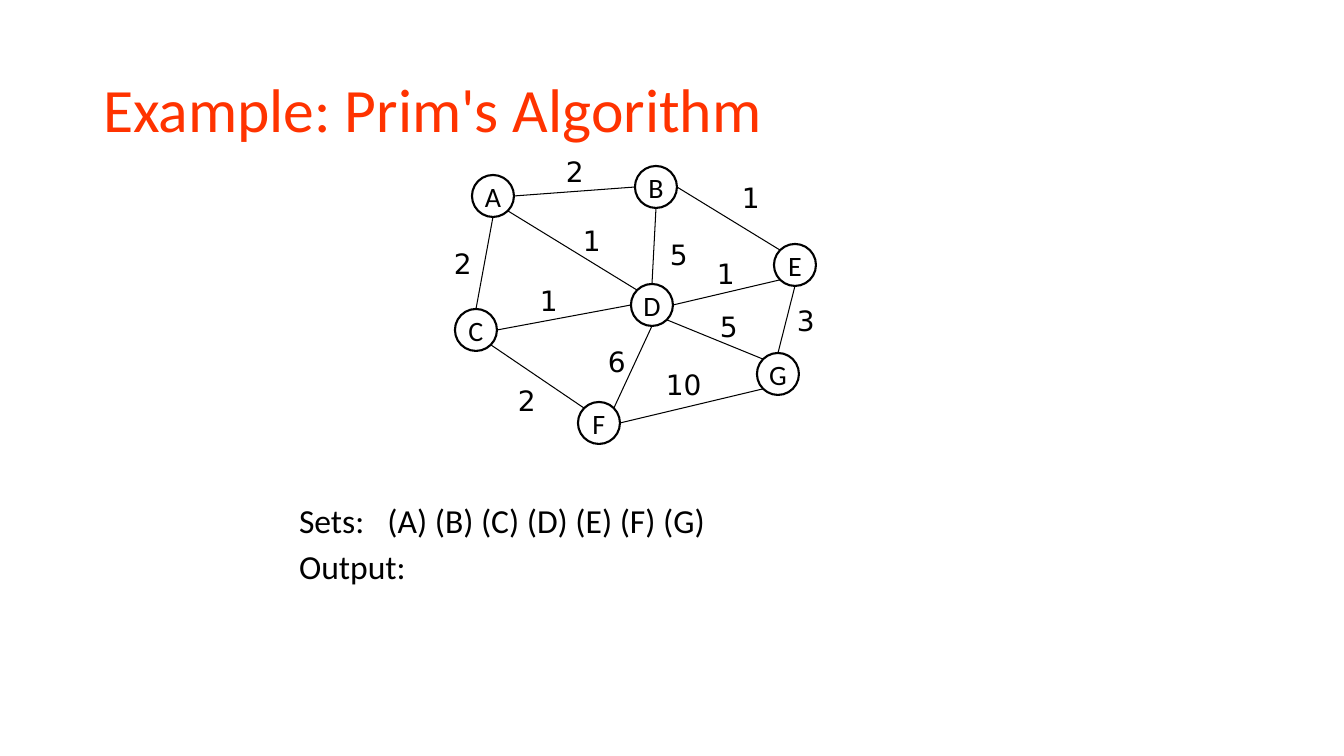
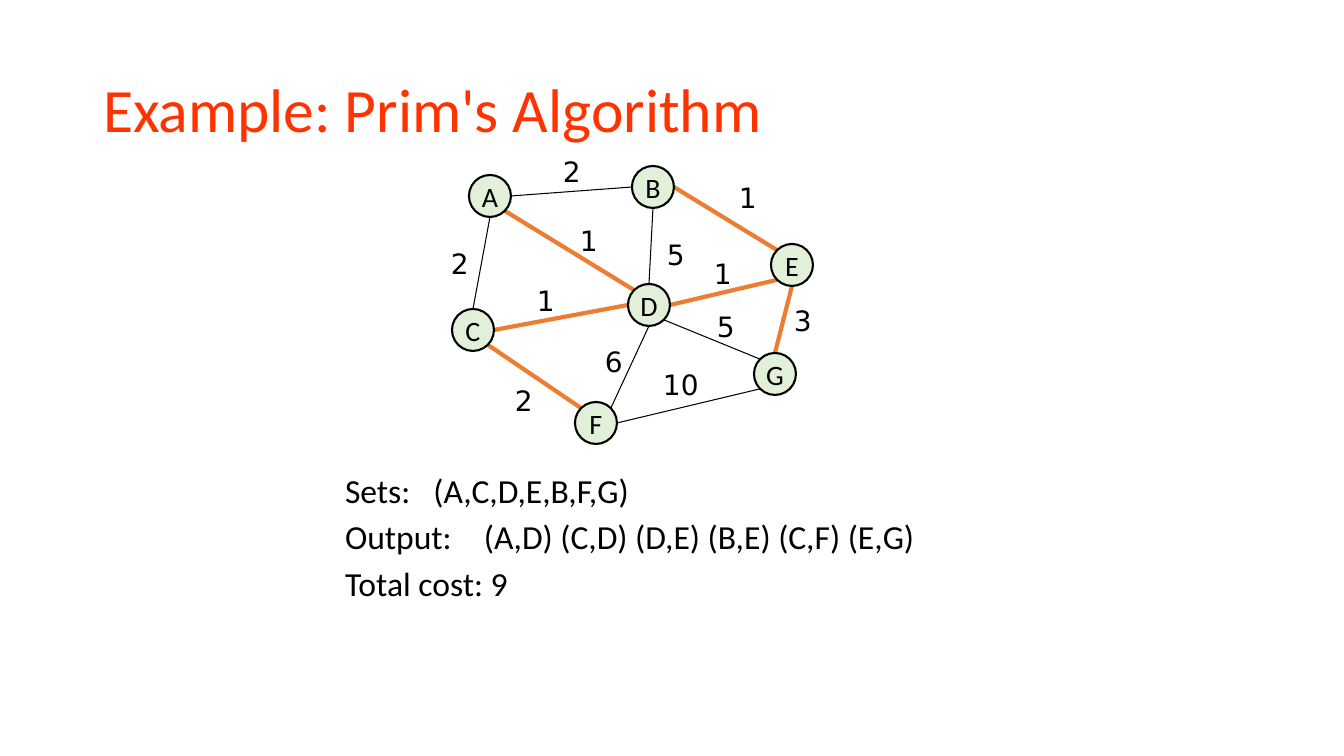
from math import cos, pi, sin
from lxml.etree import SubElement
from pptx import Presentation
from pptx.dml.color import RGBColor
from pptx.enum.shapes import MSO_CONNECTOR, MSO_SHAPE
from pptx.enum.text import MSO_ANCHOR, MSO_AUTO_SIZE, PP_ALIGN
from pptx.oxml.ns import qn
from pptx.util import Pt

SCALE = 914400 / 100.8
COLORS = {"title": "FF3300", "ink": "000000", "tree": "ED7D31", "reached": "E2F0D9"}
TEXT_FONT, LABEL_FONT = "Calibri", "DejaVu Sans"
TITLE = "Example: Prim's Algorithm"
TITLE_BOX = (93, 40, 1159, 146)

NODE_SIZE = 42
NODES = {
    "A": (17, 25), "B": (180, 16), "C": (0, 159), "D": (176, 134),
    "E": (319, 94), "F": (123, 252), "G": (302, 203),
}
ANGLES = {"right": 0, "lower right": 45, "bottom": 90, "lower left": 135,
          "left": 180, "upper left": 225, "top": 270, "upper right": 315}
EDGES = [
    ("A", "bottom", "C", "top", "2", (-11, 92)),
    ("A", "right", "B", "left", "2", (101, 0)),
    ("B", "bottom", "D", "top", "5", (205, 83)),
    ("A", "lower right", "D", "upper left", "1", (118, 69)),
    ("C", "right", "D", "left", "1", (75, 129)),
    ("D", "right", "E", "lower left", "1", (252, 102)),
    ("B", "right", "E", "upper left", "1", (277, 26)),
    ("C", "lower right", "F", "upper left", "2", (53, 229)),
    ("D", "bottom", "F", "upper right", "6", (143, 190)),
    ("D", "lower right", "G", "upper left", "5", (255, 155)),
    ("E", "bottom", "G", "top", "3", (332, 149)),
    ("F", "right", "G", "lower left", "10", (201, 213)),
]
TREE = ("AD", "CD", "DE", "BE", "CF", "EG")


def px(n):
    return round(n * SCALE)


def rgb(name):
    return RGBColor.from_string(COLORS[name])


def place(sp, x, y, w, h):
    sp.left, sp.top, sp.width, sp.height = px(x), px(y), px(w), px(h)


def add_run(p, text, size, color="ink", font=TEXT_FONT):
    r = p.add_run()
    r.text = text
    r.font.size = Pt(size)
    r.font.name = font
    r.font.color.rgb = rgb(color)


def add_title(s):
    sp = s.shapes.title
    place(sp, *TITLE_BOX)
    tf = sp.text_frame
    tf.vertical_anchor = MSO_ANCHOR.MIDDLE
    tf.auto_size = MSO_AUTO_SIZE.NONE
    p = tf.paragraphs[0]
    p.alignment = PP_ALIGN.LEFT
    p.line_spacing = 0.9
    add_run(p, TITLE, 44, "title")


def rim_point(node, side):
    x, y = NODES[node]
    r = NODE_SIZE / 2
    a = ANGLES[side] * pi / 180
    return x + r + r * cos(a), y + r + r * sin(a)


def add_edge(s, x, y, start, end, in_tree):
    (x1, y1), (x2, y2) = start, end
    line = s.shapes.add_connector(
        MSO_CONNECTOR.STRAIGHT, px(x + x1), px(y + y1), px(x + x2), px(y + y2))
    line.line.color.rgb = rgb("tree" if in_tree else "ink")
    line.line.width = Pt(3 if in_tree else 0.75)
    SubElement(line._element.spPr, qn("a:effectLst"))


def add_weight(s, x, y, text):
    w = 38 if len(text) == 1 else 56
    tf = s.shapes.add_textbox(px(x), px(y), px(w), px(44)).text_frame
    tf.word_wrap = False
    tf.auto_size = MSO_AUTO_SIZE.SHAPE_TO_FIT_TEXT
    add_run(tf.paragraphs[0], text, 20, font=LABEL_FONT)


def add_node(s, x, y, name, fill):
    sp = s.shapes.add_shape(MSO_SHAPE.OVAL, px(x), px(y), px(NODE_SIZE), px(NODE_SIZE))
    sp.shadow.inherit = False
    if fill:
        sp.fill.solid()
        sp.fill.fore_color.rgb = rgb(fill)
    else:
        sp.fill.background()
    sp.line.color.rgb = rgb("ink")
    sp.line.width = Pt(1.5)
    tf = sp.text_frame
    tf.word_wrap = False
    tf.vertical_anchor = MSO_ANCHOR.MIDDLE
    p = tf.paragraphs[0]
    p.alignment = PP_ALIGN.CENTER
    add_run(p, name, 20)


def add_graph(s, x, y, tree=(), fill=None):
    for a, a_side, b, b_side, weight, (dx, dy) in EDGES:
        add_edge(s, x, y, rim_point(a, a_side), rim_point(b, b_side), a + b in tree)
        add_weight(s, x + dx, y + dy, weight)
    for name, (dx, dy) in NODES.items():
        add_node(s, x + dx, y + dy, name, fill)


def add_state(s, box, lines):
    sp = s.placeholders[1]
    place(sp, *box)
    tf = sp.text_frame
    tf.word_wrap = True
    tf.auto_size = MSO_AUTO_SIZE.NONE
    for i, text in enumerate(lines):
        p = tf.add_paragraph() if i else tf.paragraphs[0]
        pPr = p._p.get_or_add_pPr()
        pPr.set("marL", str(px(38)))
        pPr.set("indent", str(-px(38)))
        SubElement(pPr, qn("a:buNone"))
        tabs = SubElement(pPr, qn("a:tabLst"))
        SubElement(tabs, qn("a:tab"), pos=str(px(145)), algn="l")
        p.space_before = Pt(4.3 if i else 0)
        add_run(p, text, 24)


def add_step(prs, graph_at, state_box, lines, **marks):
    s = prs.slides.add_slide(prs.slide_layouts[1])
    add_title(s)
    add_graph(s, *graph_at, **marks)
    add_state(s, state_box, lines)


def main():
    prs = Presentation()
    prs.slide_width, prs.slide_height = px(1344), px(756)
    add_step(prs, (455, 150), (289, 495, 768, 100),
             ["Sets:\t(A) (B) (C) (D) (E) (F) (G)", "Output:"])
    add_step(prs, (452, 150), (335, 465, 781, 148),
             ["Sets:\t(A,C,D,E,B,F,G)",
              "Output:\t(A,D) (C,D) (D,E) (B,E) (C,F) (E,G)",
              "Total cost: 9"],
             tree=TREE, fill="reached")
    prs.save("out.pptx")


if __name__ == "__main__":
    main()
